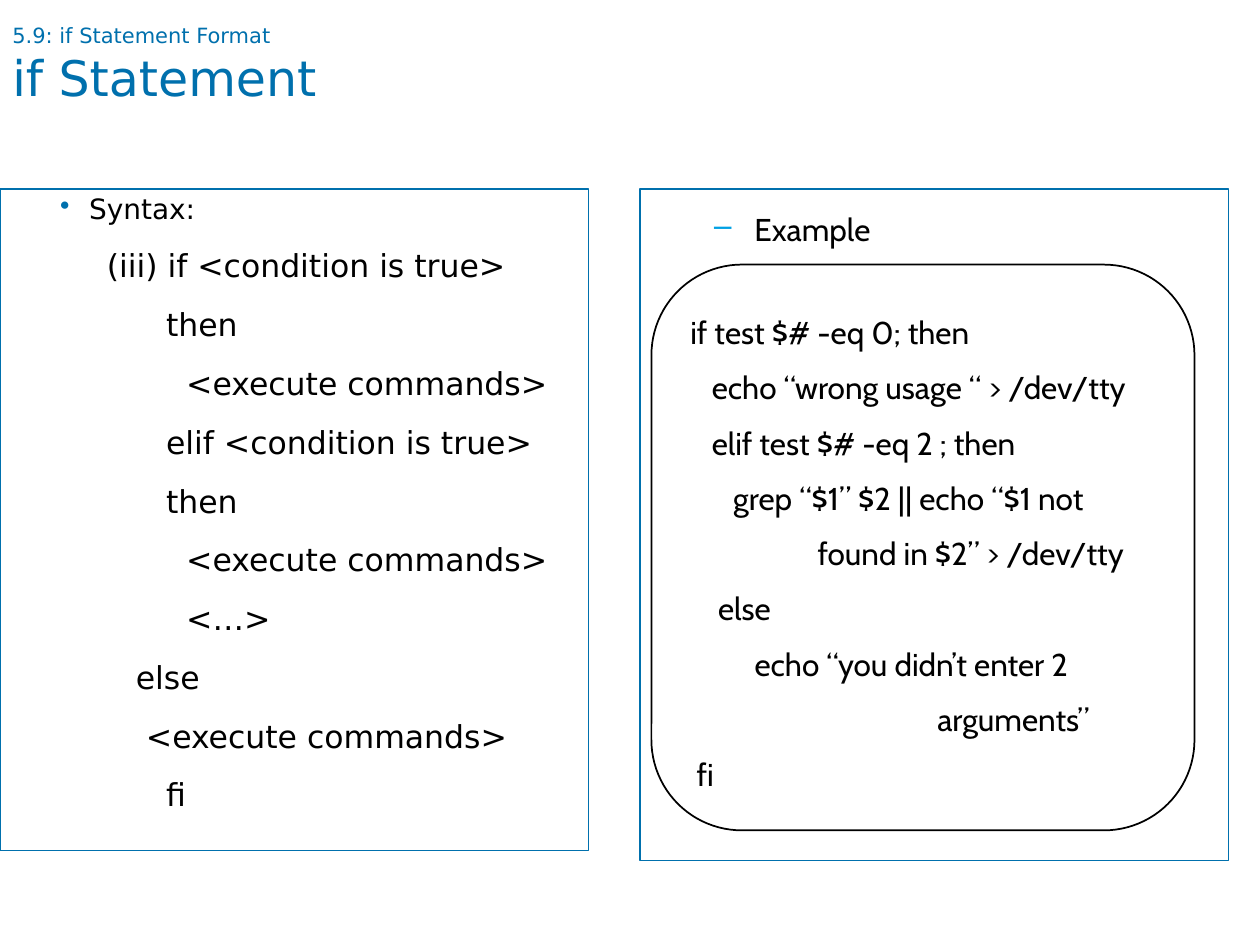
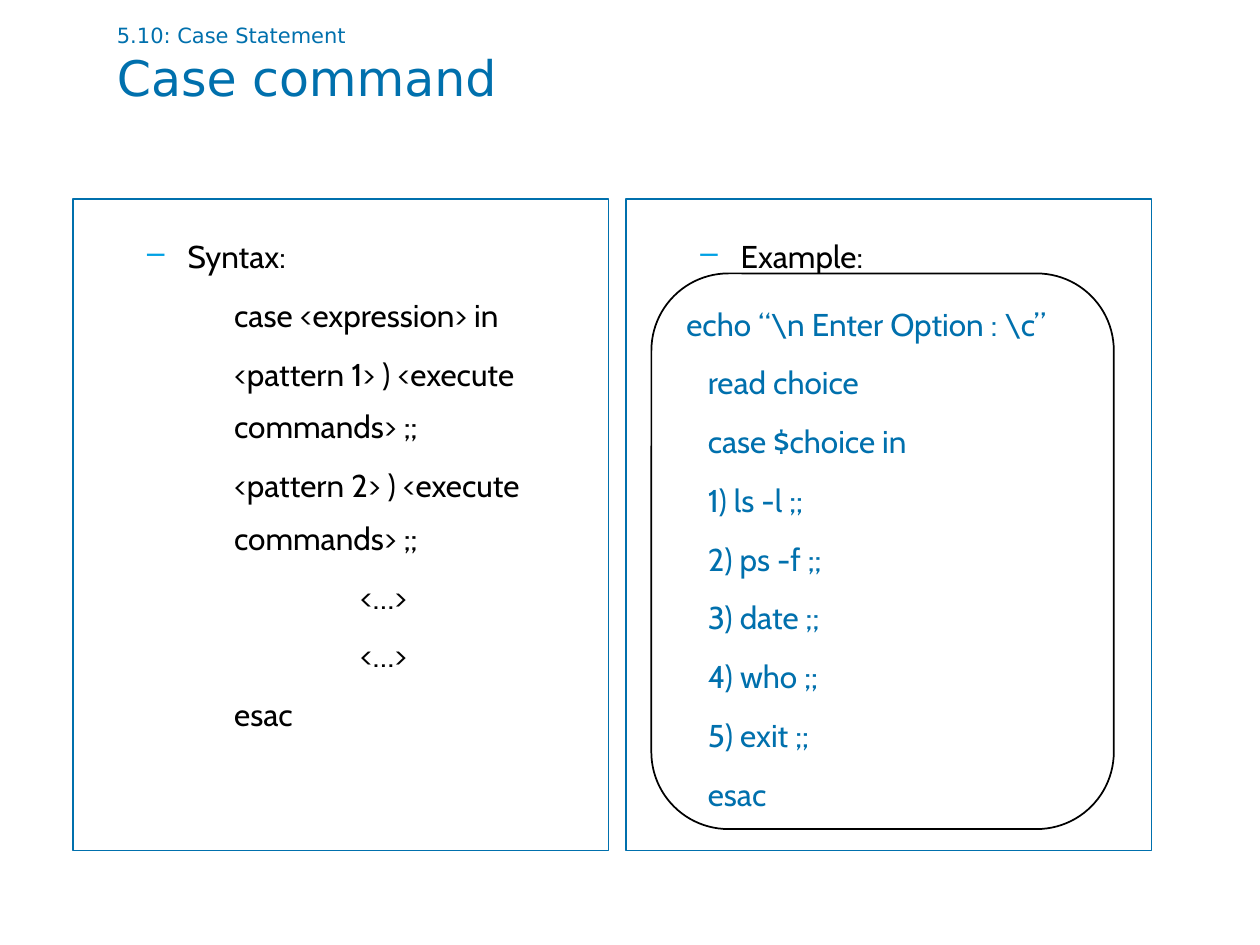
"""Build two slides that show shell if and case statements."""
from lxml.etree import SubElement as Sub
from pptx import Presentation
from pptx.dml.color import RGBColor as RGB
from pptx.enum.shapes import MSO_SHAPE as Kind
from pptx.enum.text import MSO_ANCHOR as Anchor
from pptx.oxml.ns import qn
from pptx.util import Inches, Pt

BLUE, CYAN = RGB(0x00, 0x70, 0xAD), RGB(0x00, 0xA1, 0xE4)
BLACK, WHITE = RGB(0, 0, 0), RGB(0xFF, 0xFF, 0xFF)
SANS, CABIN = "DejaVu Sans", "Cabin"

DOT = dict(mark="•", tint=BLUE, hang=0.23, size=16, font=SANS, lead=0.9)
DASH = dict(mark="–", tint=CYAN, hang=0.32)
IF_FORM = [
    (0.75, "(iii) if <condition is true>"),
    (1.22, "then"),
    (1.38, "<execute commands>"),
    (1.22, "elif <condition is true>"),
    (1.22, "then"),
    (1.38, "<execute commands>"),
    (1.38, "<…>"),
    (0.98, "else"),
    (1.06, "<execute commands>"),
    (1.22, "fi"),
]
IF_CODE = [
    (0, "if test $# -eq 0; then"),
    (0.17, "echo “wrong usage “ > /dev/tty"),
    (0.17, "elif test $# -eq 2 ; then"),
    (0.34, "grep “$1” $2 || echo “$1 not"),
    (1.01, "found in $2” > /dev/tty"),
    (0.22, "else"),
    (0.51, "echo “you didn’t enter 2"),
    (1.96, "arguments”"),
    (0.05, "fi"),
]
CASE_FORM = [
    (1.18, "case <expression> in"),
    (1.18, "<pattern 1> ) <execute commands> ;;"),
    (1.18, "<pattern 2> ) <execute commands> ;;"),
    (2.18, "<…>"),
    (2.18, "<…>"),
    (1.18, "esac"),
]
CASE_CODE = [(0, "echo “\\n Enter Option : \\c”")] + [
    (0.17, line) for line in (
        "read choice", "case $choice in", "1) ls -l ;;", "2) ps -f ;;",
        "3) date ;;", "4) who ;;", "5) exit ;;", "esac")
]
SLIDES = [
    dict(
        title=((0, 0.13, 8.5, 0.78), "5.9: if Statement Format", "if Statement"),
        panels=[
            dict(at=(0, 1.5, 4.67, 5.25), width=0.75, head="Syntax:", left=0.61,
                 look=DOT, lines=IF_FORM, form=dict(font=SANS)),
            dict(at=(5.08, 1.5, 4.67, 5.33), head="Example", look=DASH),
        ],
        code=dict(at=(5.17, 2.1, 4.31, 4.49), lines=IF_CODE, form=dict(lead=28)),
    ),
    dict(
        title=((0.83, 0.13, 9.17, 0.78), "5.10: Case Statement", "Case command"),
        panels=[
            dict(at=(0.58, 1.58, 4.25, 5.17), head="Syntax:",
                 look=dict(DASH, lead=40), lines=CASE_FORM),
            dict(at=(4.97, 1.58, 4.17, 5.17), head="Example:",
                 look=dict(DASH, lead=40)),
        ],
        code=dict(at=(5.17, 2.17, 3.67, 4.41), lines=CASE_CODE,
                  form=dict(color=BLUE)),
    ),
]


def write(frame, text, size=18, font=CABIN, color=BLACK, left=0, hang=0,
          lead=30, before=3.6, mark=None, tint=None):
    """Add one paragraph; a lead under 2 is a multiple, else points."""
    para = frame.paragraphs[0]
    if para.runs:
        para = frame.add_paragraph()
    para.line_spacing = lead if lead < 2 else Pt(lead)
    para.space_before = Pt(before)
    props = para._p.get_or_add_pPr()
    props.set("algn", "l")
    props.set("marL", str(Inches(left)))
    props.set("indent", str(-Inches(hang)))
    if mark:
        Sub(Sub(props, qn("a:buClr")), qn("a:srgbClr")).set("val", str(tint))
        Sub(props, qn("a:buChar")).set("char", mark)
    run = para.add_run()
    run.text = text
    run.font.size, run.font.name = Pt(size), font
    run.font.color.rgb = color


def box(slide, at, kind, color, width=1, fill=None, anchor=Anchor.TOP):
    """Draw an outlined shape and return its text frame."""
    shape = slide.shapes.add_shape(kind, *map(Inches, at))
    shape.shadow.inherit = False
    if fill is None:
        shape.fill.background()
    else:
        shape.fill.solid()
        shape.fill.fore_color.rgb = fill
    shape.line.color.rgb = color
    shape.line.width = Pt(width)
    frame = shape.text_frame
    frame.word_wrap = True
    frame.vertical_anchor = anchor
    return frame


def title(slide, at, topic, name):
    """Write the topic line and the slide's name beneath it."""
    frame = slide.shapes.add_textbox(*map(Inches, at)).text_frame
    frame.word_wrap = True
    for text, size in ((topic, 12), (name, 28)):
        write(frame, text, size=size, font=SANS, color=BLUE, lead=1.0, before=0)


def panel(slide, at, head, look, left=0.81, width=1, lines=(), form={}):
    """Draw a blue frame with a bulleted head and indented lines."""
    frame = box(slide, at, Kind.RECTANGLE, BLUE, width)
    write(frame, head, left=left, **look)
    for left, text in lines:
        write(frame, text, left=left, **form)


def code(slide, at, lines, form):
    """Draw a rounded box that holds a code sample."""
    frame = box(slide, at, Kind.ROUNDED_RECTANGLE, BLACK, fill=WHITE,
                anchor=Anchor.MIDDLE)
    for left, text in lines:
        write(frame, text, left=left, **form)


def main():
    """Build and save the deck."""
    deck = Presentation()
    deck.slide_width, deck.slide_height = Inches(10), Inches(7.5)
    for page in SLIDES:
        slide = deck.slides.add_slide(deck.slide_layouts[6])
        title(slide, *page["title"])
        for part in page["panels"]:
            panel(slide, **part)
        code(slide, **page["code"])
    deck.save("out.pptx")


if __name__ == "__main__":
    main()
